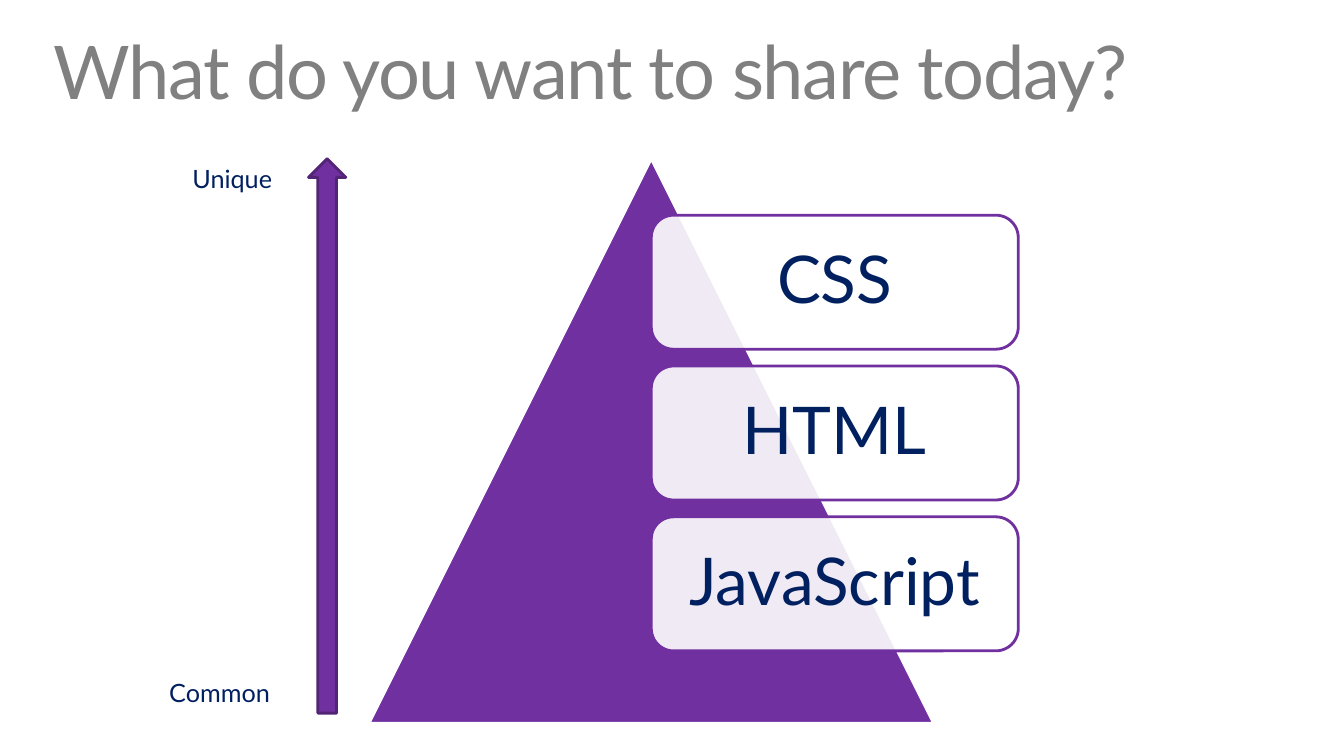
from lxml import etree
from pptx import Presentation
from pptx.dml.color import RGBColor
from pptx.enum.shapes import MSO_SHAPE
from pptx.enum.text import MSO_ANCHOR, MSO_AUTO_SIZE, PP_ALIGN
from pptx.oxml.ns import qn
from pptx.util import Inches, Pt

TRIANGLE = MSO_SHAPE.ISOSCELES_TRIANGLE
ROUNDED = MSO_SHAPE.ROUNDED_RECTANGLE
UP_ARROW = MSO_SHAPE.UP_ARROW
MIDDLE, TOP = MSO_ANCHOR.MIDDLE, MSO_ANCHOR.TOP
CENTER, LEFT = PP_ALIGN.CENTER, PP_ALIGN.LEFT
GROW = MSO_AUTO_SIZE.SHAPE_TO_FIT_TEXT

PURPLE = RGBColor(0x70, 0x30, 0xA0)
DARK_PURPLE = RGBColor(0x53, 0x24, 0x76)
NAVY = RGBColor(0x00, 0x20, 0x60)
GRAY = RGBColor(0x80, 0x80, 0x80)
WHITE = RGBColor(0xFF, 0xFF, 0xFF)
FONT = "Lato"

SLIDE_WIDTH, SLIDE_HEIGHT = 13.33, 7.5
LANGUAGES = ("CSS", "HTML", "JavaScript")


def add_filled(slide, preset, box, fill, line):
    shape = slide.shapes.add_shape(preset, *map(Inches, box))
    shape.shadow.inherit = False
    shape.fill.solid()
    shape.fill.fore_color.rgb = fill
    shape.line.color.rgb = line
    shape.line.width = Pt(2)
    return shape


def write(frame, text, size, color, align=LEFT, spacing=1.0):
    paragraph = frame.paragraphs[0]
    paragraph.text = text
    paragraph.alignment = align
    paragraph.line_spacing = spacing
    paragraph.font.name = FONT
    paragraph.font.size = Pt(size)
    paragraph.font.color.rgb = color
    return paragraph


def add_title(slide, box, text):
    frame = slide.shapes.add_textbox(*map(Inches, box)).text_frame
    frame.word_wrap = True
    frame.vertical_anchor = TOP
    frame.margin_left = frame.margin_right = Inches(0.16)
    frame.margin_top = frame.margin_bottom = Inches(0.1)
    paragraph = write(frame, text, 52.9, GRAY, spacing=0.9)
    paragraph.runs[0].font._element.set("spc", "-100")


def add_card(slide, box, language):
    card = add_filled(slide, ROUNDED, box, WHITE, PURPLE)
    color = card.fill._xPr.find(qn("a:solidFill"))[0]
    etree.SubElement(color, qn("a:alpha"), val="90000")
    frame = card.text_frame
    frame.word_wrap = True
    frame.vertical_anchor = MIDDLE
    frame.margin_left = frame.margin_right = Inches(0.2)
    frame.margin_top = frame.margin_bottom = Inches(0.2)
    write(frame, language, 47, NAVY, CENTER, 0.9)


def add_pyramid(slide, box, languages):
    """Triangle with a column of cards starting at its vertical axis."""
    left, top, width, height = box
    add_filled(slide, TRIANGLE, box, PURPLE, WHITE)
    card_width, card_height = width * 0.65, height * 0.2375
    pitch = card_height * 1.125
    for row, language in enumerate(languages):
        card_top = top + height * 0.1 + row * pitch
        add_card(slide, (left + width / 2, card_top, card_width, card_height), language)


def add_scale(slide, box, high, low):
    """Upward arrow at the right of the box, with a label at each end."""
    left, top, width, height = box
    arrow_width, label_height = width * 0.2, 0.4
    add_filled(slide, UP_ARROW,
               (left + width - arrow_width, top, arrow_width, height),
               PURPLE, DARK_PURPLE)
    labels_right = left + width * 0.665
    for text, label_width, label_top in (
            (low, 1.23, top + height - label_height),
            (high, 1.0, top)):
        label_box = (labels_right - label_width, label_top, label_width, label_height)
        frame = slide.shapes.add_textbox(*map(Inches, label_box)).text_frame
        frame.word_wrap = False
        frame.auto_size = GROW
        write(frame, text, 18, NAVY)


def main():
    deck = Presentation()
    deck.slide_width = Inches(SLIDE_WIDTH)
    deck.slide_height = Inches(SLIDE_HEIGHT)
    slide = deck.slides.add_slide(deck.slide_layouts[6])
    body_top = SLIDE_HEIGHT * 0.21
    add_title(slide, (0.37, 0.25, SLIDE_WIDTH * 0.96, 1),
              "What do you want to share today?")
    add_pyramid(slide, (3.66, body_top, 5.6, 5.6), LANGUAGES)
    add_scale(slide, (1.58, body_top, 1.85, 5.5), "Unique", "Common")
    deck.save("out.pptx")


if __name__ == "__main__":
    main()
